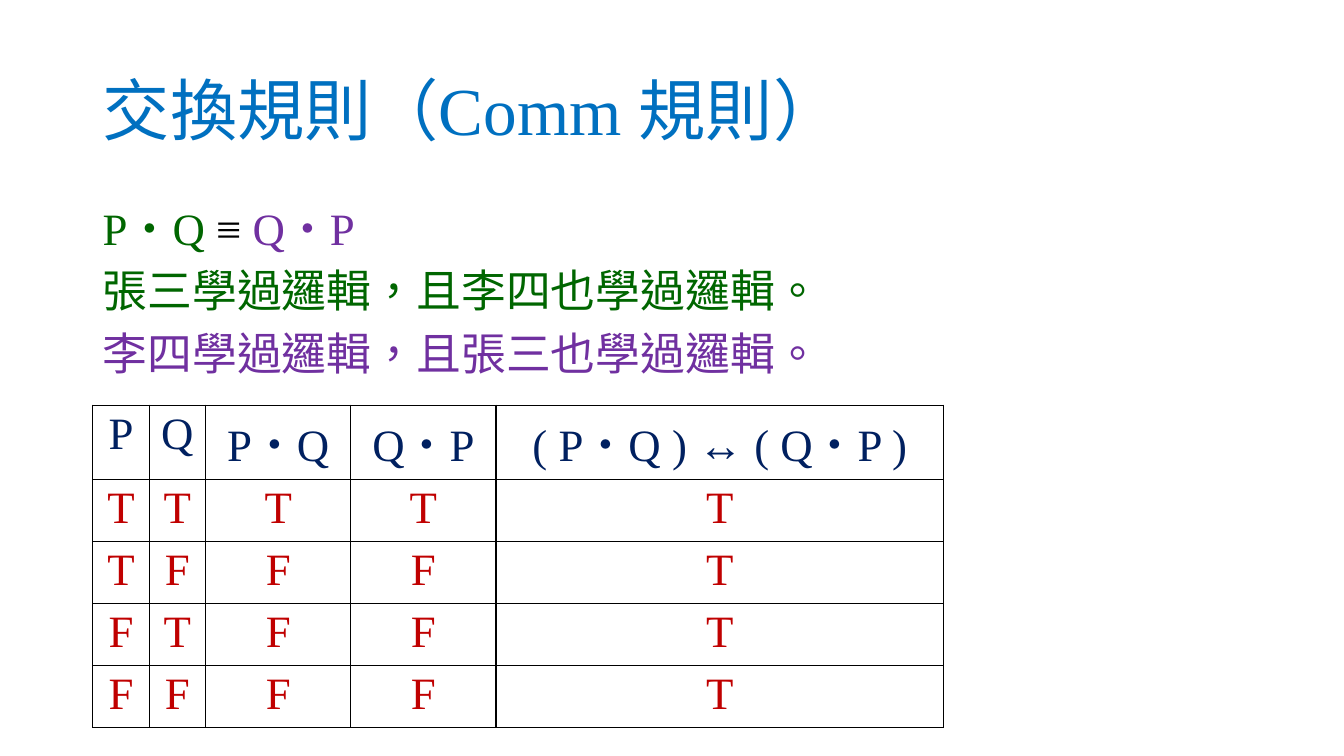
from dataclasses import dataclass

import lxml.etree
import pptx
import pptx.dml.color
import pptx.enum.lang
import pptx.enum.text
import pptx.oxml.ns
import pptx.util

Inches = pptx.util.Inches


@dataclass(frozen=True)
class Theme:
    latin: str = "Times New Roman"
    chinese: str = "Noto Sans CJK SC"
    title_size: int = 48
    text_size: int = 32
    blue: str = "0070C0"
    green: str = "006600"
    purple: str = "7030A0"
    navy: str = "002060"
    red: str = "C00000"
    black: str = "000000"
    border_width: float = 1


THEME = Theme()
LEFT = Inches(0.92)
BODY_LINES = [
    (THEME.latin, [("P・Q ", THEME.green), ("≡ ", THEME.black), ("Q・P", THEME.purple)]),
    (THEME.chinese, [("張三學過邏輯，且李四也學過邏輯。", THEME.green)]),
    (THEME.chinese, [("李四學過邏輯，且張三也學過邏輯。", THEME.purple)]),
]
TRUTH_TABLE = [
    ["P", "Q", "P・Q", "Q・P", "( P・Q ) ↔\ufe0e ( Q・P )"],
    *(list(values) for values in ("TTTTT", "TFFFT", "FTFFT", "FFFFT")),
]
COLUMN_WIDTHS = [0.56, 0.56, 1.44, 1.44, 4.44]
HEADER_HEIGHT, ROW_HEIGHT = 0.74, 0.59


def color_font(font, color):
    font.color.rgb = pptx.dml.color.RGBColor.from_string(color)


def style_paragraph(paragraph, size, latin=THEME.latin):
    """Set the shared font, and the Chinese font and language of each run."""
    paragraph.font.size = pptx.util.Pt(size)
    paragraph.font.name = latin
    paragraph.font.bold = False
    for run in paragraph.runs:
        run.font.language_id = pptx.enum.lang.MSO_LANGUAGE_ID.TRADITIONAL_CHINESE
        east_asian = lxml.etree.SubElement(
            run.font._element, pptx.oxml.ns.qn("a:ea"))
        east_asian.set("typeface", THEME.chinese)


def add_title(slide, text):
    title = slide.shapes.title
    title.left, title.top = LEFT, Inches(0.4)
    title.width, title.height = Inches(11.5), Inches(1.45)
    frame = title.text_frame
    frame.text = text
    frame.auto_size = pptx.enum.text.MSO_AUTO_SIZE.NONE
    frame.vertical_anchor = pptx.enum.text.MSO_ANCHOR.MIDDLE
    paragraph = frame.paragraphs[0]
    paragraph.alignment = pptx.enum.text.PP_ALIGN.LEFT
    paragraph.line_spacing = 0.9
    style_paragraph(paragraph, THEME.title_size)
    color_font(paragraph.font, THEME.blue)


def add_body(slide, lines):
    box = slide.shapes.add_textbox(LEFT, Inches(2), Inches(9.41), Inches(1.93))
    frame = box.text_frame
    frame.word_wrap = True
    for index, (latin, pieces) in enumerate(lines):
        paragraph = frame.add_paragraph() if index else frame.paragraphs[0]
        paragraph.line_spacing = 0.9
        paragraph.space_before = pptx.util.Pt(10)
        for text, color in pieces:
            run = paragraph.add_run()
            run.text = text
        style_paragraph(paragraph, THEME.text_size, latin)
        for run, (text, color) in zip(paragraph.runs, pieces):
            color_font(run.font, color)


def add_borders(cell):
    properties = cell._tc.get_or_add_tcPr()
    for index, side in enumerate(("lnL", "lnR", "lnT", "lnB")):
        line = lxml.etree.Element(pptx.oxml.ns.qn(f"a:{side}"))
        line.set("w", str(pptx.util.Pt(THEME.border_width)))
        fill = lxml.etree.SubElement(line, pptx.oxml.ns.qn("a:solidFill"))
        color = lxml.etree.SubElement(fill, pptx.oxml.ns.qn("a:srgbClr"))
        color.set("val", THEME.black)
        properties.insert(index, line)


def fill_cell(cell, text, color):
    cell.text = text
    cell.margin_left = cell.margin_right = Inches(0.05)
    cell.margin_top = cell.margin_bottom = Inches(0.04)
    cell.fill.background()
    paragraph = cell.text_frame.paragraphs[0]
    paragraph.alignment = pptx.enum.text.PP_ALIGN.CENTER
    style_paragraph(paragraph, THEME.text_size)
    color_font(paragraph.font, color)
    add_borders(cell)


def add_truth_table(slide, rows):
    heights = [HEADER_HEIGHT] + [ROW_HEIGHT] * (len(rows) - 1)
    table = slide.shapes.add_table(
        len(rows), len(COLUMN_WIDTHS), LEFT, Inches(4.02),
        Inches(sum(COLUMN_WIDTHS)), Inches(sum(heights))).table
    table.first_row = table.horz_banding = False
    for column, width in zip(table.columns, COLUMN_WIDTHS):
        column.width = Inches(width)
    for row_index, values in enumerate(rows):
        table.rows[row_index].height = Inches(heights[row_index])
        color = THEME.red if row_index else THEME.navy
        for column_index, text in enumerate(values):
            fill_cell(table.cell(row_index, column_index), text, color)


def main():
    presentation = pptx.Presentation()
    presentation.slide_width = Inches(13.33)
    presentation.slide_height = Inches(7.5)
    title_only = presentation.slide_layouts.get_by_name("Title Only")
    slide = presentation.slides.add_slide(title_only)

    # Heading and the equivalence with its example sentences
    add_title(slide, "交換規則（Comm 規則）")
    add_body(slide, BODY_LINES)
    # Truth table proving the rule
    add_truth_table(slide, TRUTH_TABLE)

    presentation.save("out.pptx")


main()
